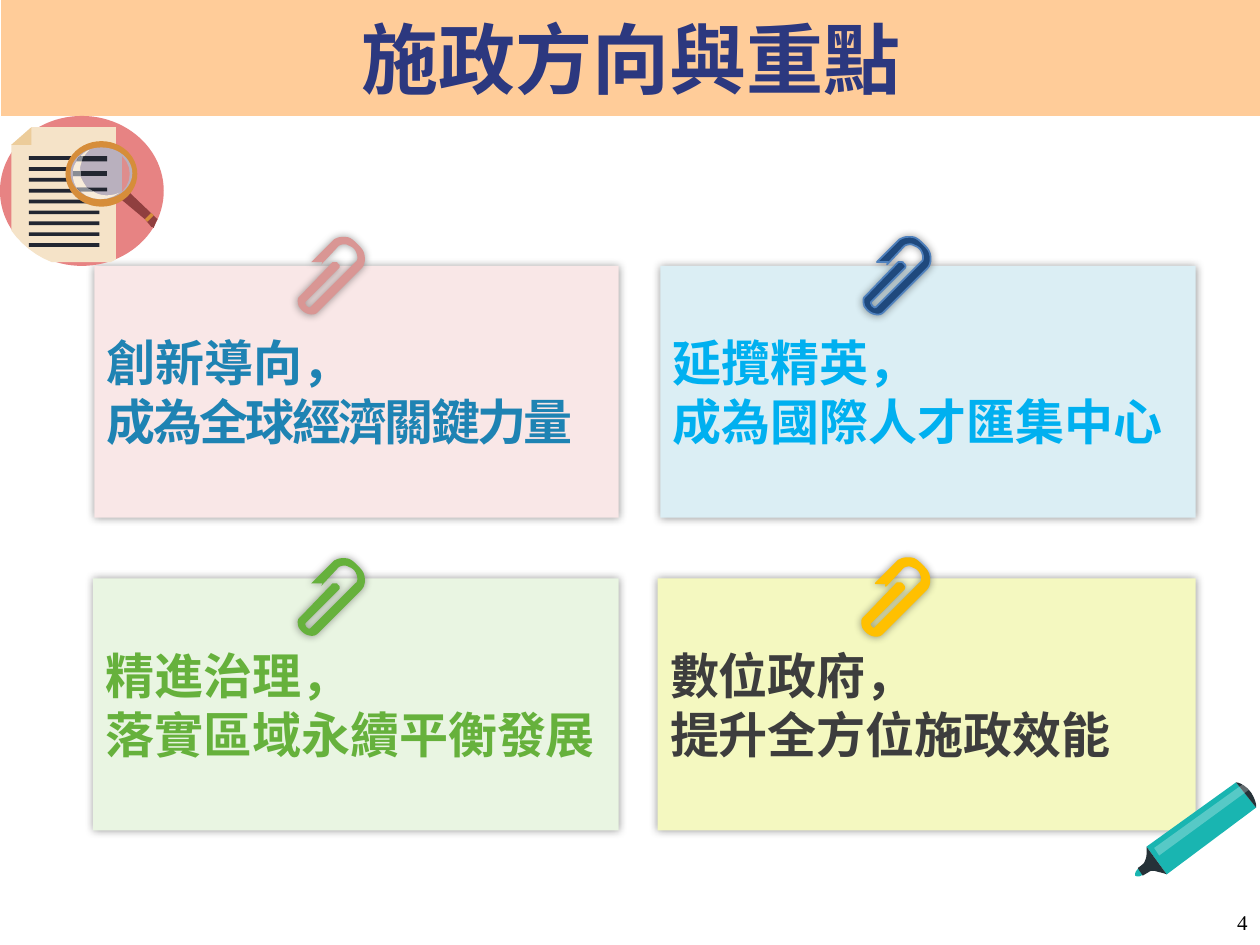
import pptx
import pptx.util
import pptx.dml.color
import pptx.oxml
import pptx.oxml.ns
from lxml import etree
from pptx.enum.shapes import MSO_SHAPE
from pptx.enum.text import MSO_ANCHOR, PP_ALIGN
from pptx.util import Inches

CJK = "Noto Sans CJK SC"
TITLE = "施政方向與重點"
PAGE_NUMBER = "4"
# box, fill, text colour, lines, spacing of the last line, clip origin, clip fill, clip line
CARDS = [
    ((0.75, 2.11, 4.16, 2), "F9E7E7", "1E83B3", ("創新導向，", "成為全球經濟關鍵力量"), -1.5,
     (2.36, 1.88), "D99694", None),
    ((5.24, 2.11, 4.25, 2), "DBEEF4", "00B0F0", ("延攬精英，", "成為國際人才匯集中心"), 0,
     (6.85, 1.88), "1F497D", "4F81BD"),
    ((0.74, 4.59, 4.17, 2), "E9F5E2", "66B13C", ("精進治理，", "落實區域永續平衡發展"), 0,
     (2.36, 4.43), "66B13C", None),
    ((5.22, 4.59, 4.27, 2), "F4F8C0", "3D3D3D", ("數位政府，", "提升全方位施政效能"), 0,
     (6.84, 4.43), "FFC000", "FFC000"),
]
# Contours: a pair is a corner, six numbers are a Bezier curve (two handles, end).
CLIP = [
    (0.36, 0), (0.38, 0, 0.4, 0, 0.42, 0.01), (0.44, 0.02, 0.46, 0.04, 0.48, 0.06),
    (0.5, 0.08, 0.52, 0.1, 0.53, 0.13), (0.54, 0.17, 0.54, 0.22, 0.51, 0.25), (0.16, 0.6),
    (0.14, 0.62, 0.11, 0.62, 0.08, 0.61), (0.05, 0.6, 0.03, 0.58, 0.01, 0.55),
    (0, 0.52, 0, 0.49, 0.01, 0.48), (0.03, 0.46), (0.28, 0.2),
    (0.29, 0.2, 0.29, 0.2, 0.3, 0.2), (0.31, 0.2, 0.32, 0.2, 0.32, 0.21),
    (0.34, 0.22, 0.34, 0.24, 0.33, 0.25), (0.07, 0.51), (0.06, 0.52, 0.06, 0.53, 0.07, 0.54),
    (0.07, 0.55, 0.08, 0.55, 0.09, 0.56), (0.1, 0.56, 0.1, 0.56, 0.11, 0.55), (0.46, 0.2),
    (0.48, 0.19, 0.48, 0.16, 0.47, 0.13), (0.46, 0.1, 0.44, 0.08, 0.41, 0.07),
    (0.38, 0.05, 0.35, 0.06, 0.33, 0.07), (0.19, 0.22), (0.2, 0.2), (0.11, 0.2),
    (0.29, 0.02), (0.31, 0.01, 0.33, 0, 0.36, 0),
]
MARKER = [
    ("19B5B1", [[(9.26, 6.94), (9.97, 6.41), (9.81, 6.21), (9.1, 6.72)]]),
    ("19B5B1", [[(9.01, 6.95), (9.01, 6.95, 9.04, 6.97, 9.07, 6.94), (9.04, 6.89),
                 (9.04, 6.89, 9, 6.92, 9.01, 6.95)]]),
    ("263238", [[(9.07, 6.95), (9.12, 6.92), (9.12, 6.92, 9.14, 6.9, 9.19, 6.92),
                 (9.24, 6.93, 9.26, 6.94, 9.26, 6.94), (9.1, 6.72), (9.1, 6.78),
                 (9.1, 6.79, 9.1, 6.81, 9.08, 6.85), (9.06, 6.87, 9.03, 6.89, 9.03, 6.89)]]),
    ("263238", [[(9.81, 6.21), (9.97, 6.41), (9.97, 6.41, 9.98, 6.37, 9.93, 6.29),
                 (9.87, 6.21, 9.81, 6.21, 9.81, 6.21)]]),
]
MARKER_SHINE = [[(9.2, 6.79), (9.91, 6.27), (9.87, 6.22), (9.16, 6.73)]]
DISC = (0, 0.92, 1.3, 1.19)
PAPER = [[(0.25, 1.01), (0.09, 1.15), (0.09, 1.83), (0.17, 1.94, 0.28, 2.03, 0.41, 2.08),
          (0.88, 2.08), (0.92, 2.06), (0.92, 1.01)]]
PAPER_FOLD = [[(0.25, 1.01), (0.09, 1.15), (0.25, 1.15)]]
PRINT_WIDTHS = (0.37, 0.32, 0.32, 0.37, 0.55, 0.56, 0.56, 0.56, 0.56)
HANDLE = [[(1.03, 1.53), (0.97, 1.58), (0.97, 1.59), (1.15, 1.74), (1.2, 1.8),
           (1.21, 1.8, 1.21, 1.8, 1.22, 1.81), (1.23, 1.78, 1.24, 1.76, 1.25, 1.74)]]
RING = (0.52, 1.12, 0.57, 0.52)
LENS = (0.56, 1.17, 0.49, 0.41)
LENS_DETAILS = [
    ("222631", [[(0.64, 1.24), (0.62, 1.25, 0.61, 1.27, 0.61, 1.28), (0.85, 1.28), (0.85, 1.24)]]),
    ("222631", [[(0.61, 1.49), (0.62, 1.5, 0.63, 1.51, 0.64, 1.52), (0.85, 1.52), (0.85, 1.49)]]),
    ("222631", [[(0.58, 1.36), (0.58, 1.4), (0.85, 1.4), (0.85, 1.36)]]),
    ("F8ECDA", [[(0.71, 1.19), (0.68, 1.2, 0.66, 1.22, 0.64, 1.24), (0.67, 1.24),
                 (0.68, 1.22, 0.7, 1.2, 0.71, 1.19)],
                [(0.61, 1.28), (0.59, 1.31, 0.58, 1.33, 0.58, 1.36), (0.64, 1.36),
                 (0.63, 1.34, 0.64, 1.31, 0.65, 1.28)]]),
    ("8A8D94", [[(0.64, 1.24), (0.62, 1.25, 0.61, 1.27, 0.61, 1.28), (0.65, 1.28), (0.66, 1.24)]]),
    ("F8ECDA", [[(0.58, 1.4), (0.58, 1.43, 0.59, 1.46, 0.61, 1.49), (0.69, 1.49),
                 (0.67, 1.46, 0.65, 1.43, 0.64, 1.4)],
                [(0.64, 1.52), (0.72, 1.6, 0.86, 1.6, 0.95, 1.53),
                 (0.88, 1.56, 0.8, 1.56, 0.74, 1.52)]]),
    ("8A8D94", [[(0.61, 1.49), (0.62, 1.5, 0.63, 1.51, 0.64, 1.52), (0.74, 1.52),
                 (0.73, 1.51, 0.71, 1.5, 0.69, 1.49)]]),
    ("8A8D94", [[(0.58, 1.36), (0.58, 1.4), (0.64, 1.4), (0.64, 1.36)]]),
    ("DE8D8D", [[(0.97, 1.24), (0.97, 1.52), (1.05, 1.44, 1.05, 1.32, 0.97, 1.24)]]),
    ("D68D3A", [[(1.2, 1.69), (1.15, 1.74), (1.17, 1.76), (1.22, 1.71)]]),
]


def rgb(value):
    return pptx.dml.color.RGBColor.from_string(value)


def sub(parent, tag, **attributes):
    return etree.SubElement(parent, pptx.oxml.ns.qn(tag), attributes)


def paint(shape, fill, line=None, shadow=False):
    shape.fill.solid()
    shape.fill.fore_color.rgb = rgb(fill)
    if line:
        shape.line.color.rgb = rgb(line)
        shape.line.width = pptx.util.Pt(1)
    else:
        shape.line.fill.background()
    shape.shadow.inherit = False
    if shadow:
        effects = shape._element.spPr.find(pptx.oxml.ns.qn("a:effectLst"))
        outer = sub(effects, "a:outerShdw", blurRad=str(pptx.util.Pt(5)), dist="0",
                    dir="0", algn="ctr", rotWithShape="0")
        sub(sub(outer, "a:srgbClr", val="000000"), "a:alpha", val="40000")
    return shape


def add_preset(kind, box, fill, **style):
    return paint(slide.shapes.add_shape(kind, *map(Inches, box)), fill, **style)


def flatten(contour, steps=6):
    """Return the contour's points, with each curve cut into short straight steps."""
    points = []
    for part in contour:
        if len(part) == 2:
            points.append(part)
            continue
        (x0, y0), (x1, y1, x2, y2, x3, y3) = points[-1], part
        for step in range(1, steps + 1):
            t = step / steps
            a, b, c, d = (1 - t) ** 3, 3 * t * (1 - t) ** 2, 3 * t * t * (1 - t), t ** 3
            points.append((a * x0 + b * x1 + c * x2 + d * x3, a * y0 + b * y1 + c * y2 + d * y3))
    return points


def add_outline(contours, fill, origin=(0, 0), **style):
    builder = None
    for contour in contours:
        start, *others = [(Inches(x + origin[0]), Inches(y + origin[1]))
                          for x, y in flatten(contour)]
        if builder is None:
            builder = slide.shapes.build_freeform(*start)
        else:
            builder.move_to(*start)
        builder.add_line_segments(others, close=True)
    return paint(builder.convert_to_shape(), fill, **style)


def style_text(paragraph, size, color, font=CJK, bold=True, spacing=0, align=PP_ALIGN.LEFT):
    paragraph.alignment = align
    for run in paragraph.runs:
        run.font.size = pptx.util.Pt(size)
        run.font.bold = bold
        run.font.color.rgb = rgb(color)
        run.font.name = font
        properties = run._r.get_or_add_rPr()
        sub(properties, "a:ea", typeface=font)
        if spacing:
            properties.set("spc", str(int(spacing * 100)))


deck = pptx.Presentation()
deck.slide_width, deck.slide_height = Inches(10), Inches(7.5)
slide = deck.slides.add_slide(deck.slide_layouts[5])

title = slide.shapes.title
title.left, title.top, title.width, title.height = map(Inches, (0.01, 0, 10, 0.92))
paint(title, "FFCC99")
title.text_frame.text = TITLE
title.text_frame.vertical_anchor = MSO_ANCHOR.MIDDLE
style_text(title.text_frame.paragraphs[0], 44, "2C387F", align=PP_ALIGN.CENTER)

for box, fill, color, lines, spacing, clip_origin, clip_fill, clip_line in CARDS:
    frame = add_preset(MSO_SHAPE.RECTANGLE, box, fill, shadow=True).text_frame
    frame.word_wrap = True
    frame.vertical_anchor = MSO_ANCHOR.MIDDLE
    frame.text = "\n".join(lines)
    for paragraph, gap in zip(frame.paragraphs, (0, spacing)):
        style_text(paragraph, 28, color, spacing=gap)
    add_outline([CLIP], clip_fill, clip_origin, line=clip_line, shadow=True)

for fill, contours in MARKER:
    add_outline(contours, fill)
shine = add_outline(MARKER_SHINE, "FFFFFF")
sub(shine.fill._xPr.find(".//" + pptx.oxml.ns.qn("a:srgbClr")), "a:alpha", val="27000")

add_preset(MSO_SHAPE.OVAL, DISC, "E78383")
add_outline(PAPER, "F5E3C8")
for row, width in enumerate(PRINT_WIDTHS):
    add_preset(MSO_SHAPE.RECTANGLE, (0.23, 1.24 + row * 0.69 / 8, width, 0.03), "222631")
add_outline(PAPER_FOLD, "ECCC9A")
add_outline(HANDLE, "903F3F")
add_preset(MSO_SHAPE.OVAL, RING, "D68D3A")
add_preset(MSO_SHAPE.OVAL, LENS, "B9B0BE")
for fill, contours in LENS_DETAILS:
    add_outline(contours, fill)

number = slide.shapes.add_textbox(*map(Inches, (7.67, 7.17, 2.33, 0.4))).text_frame
number.word_wrap = True
number.text = PAGE_NUMBER
style_text(number.paragraphs[0], 12, "000000", "Times New Roman", False, align=PP_ALIGN.RIGHT)

deck.save("out.pptx")
